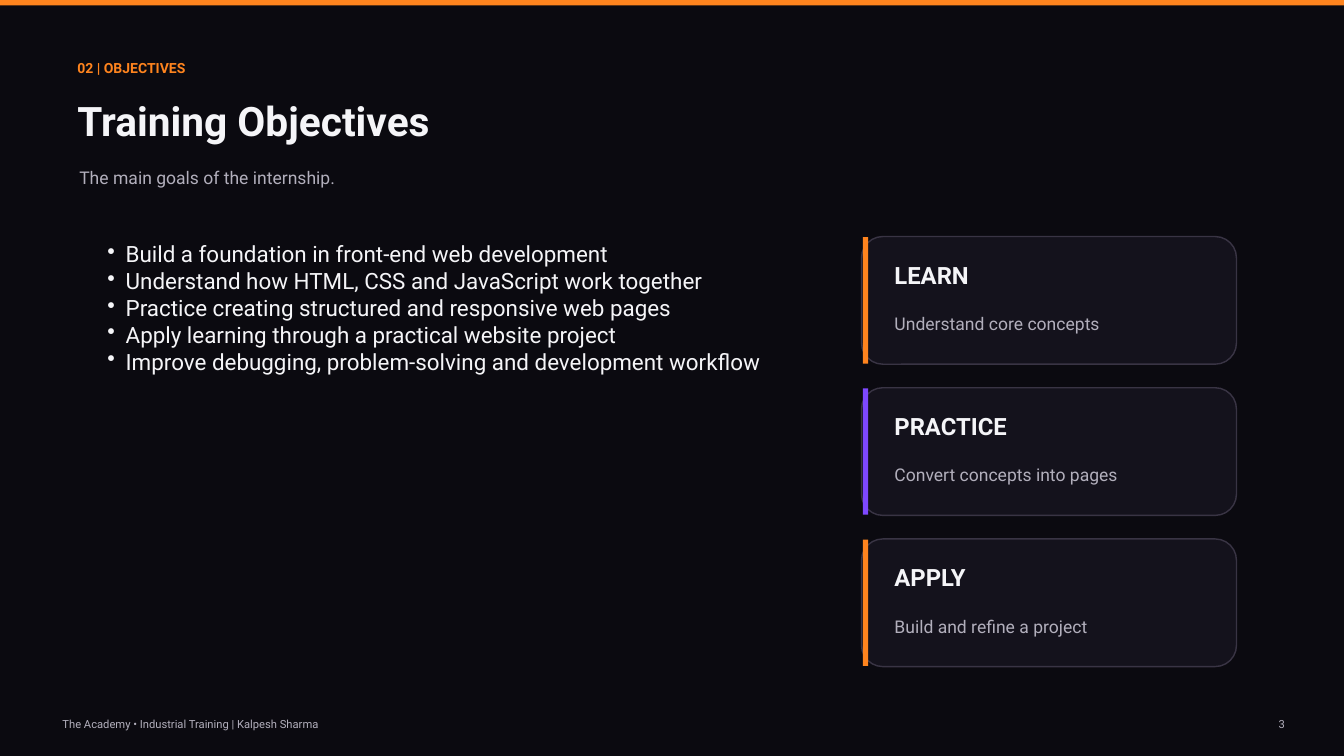
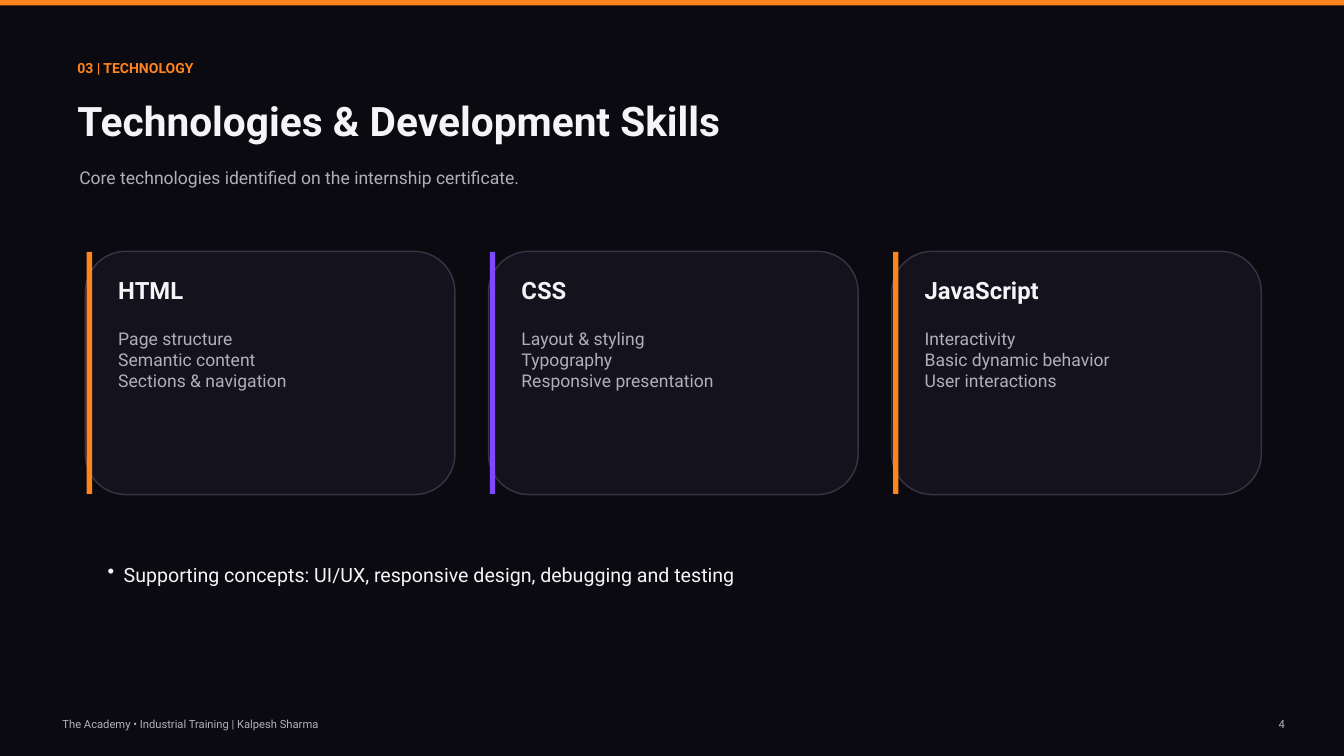
from dataclasses import dataclass

import pptx
import pptx.dml.color
import pptx.enum.shapes
import pptx.enum.text
import pptx.oxml.ns
import pptx.presentation
import pptx.shapes.autoshape
import pptx.slide
import pptx.text.text
import pptx.util
from lxml import etree
from pptx.dml.color import RGBColor
from pptx.enum.shapes import MSO_SHAPE
from pptx.enum.text import PP_ALIGN
from pptx.util import Inches

BACKGROUND = RGBColor(0x0B, 0x0A, 0x10)
CARD_FILL = RGBColor(0x14, 0x12, 0x1C)
CARD_BORDER = RGBColor(0x39, 0x34, 0x44)
ORANGE = RGBColor(0xFF, 0x84, 0x1E)
PURPLE = RGBColor(0x7E, 0x48, 0xFF)
LIGHT = RGBColor(0xF5, 0xF5, 0xF8)
MUTED = RGBColor(0xB2, 0xAF, 0xBC)
CARD_ACCENTS = (ORANGE, PURPLE, ORANGE)

FONT = "Roboto"
BODY_SIZE = 18.8
LINE_SPACING = 1.2
SLIDE_WIDTH = 20
SLIDE_HEIGHT = 11.25
BAR_THICKNESS = 0.08
FOOTER = "The Academy • Industrial Training | Kalpesh Sharma"


@dataclass(frozen=True)
class Box:
    """A rectangle measured in inches."""

    left: float
    top: float
    width: float
    height: float


@dataclass(frozen=True)
class Card:
    title: str
    lines: tuple[str, ...]


@dataclass(frozen=True)
class CardGroup:
    """Equal cards: the first one's box and the step to the next."""

    first: Box
    step_x: float
    step_y: float
    cards: tuple[Card, ...]


@dataclass(frozen=True)
class BulletList:
    box: Box
    size: float
    indent: float
    lines: tuple[str, ...]


@dataclass(frozen=True)
class Topic:
    section: str
    title: str
    subtitle: str
    page: int
    card_group: CardGroup
    bullet_list: BulletList


TOPICS = (
    Topic(
        "02 | OBJECTIVES",
        "Training Objectives",
        "The main goals of the internship.",
        3,
        CardGroup(
            Box(12.82, 3.52, 5.58, 1.9), 0, 2.25,
            (
                Card("LEARN", ("Understand core concepts",)),
                Card("PRACTICE", ("Convert concepts into pages",)),
                Card("APPLY", ("Build and refine a project",)),
            ),
        ),
        BulletList(
            Box(1.6, 3.58, 10.46, 5.75), 24, 0.27,
            (
                "Build a foundation in front-end web development",
                "Understand how HTML, CSS and JavaScript work together",
                "Practice creating structured and responsive web pages",
                "Apply learning through a practical website project",
                "Improve debugging, problem-solving and development workflow",
            ),
        ),
    ),
    Topic(
        "03 | TECHNOLOGY",
        "Technologies & Development Skills",
        "Core technologies identified on the internship certificate.",
        4,
        CardGroup(
            Box(1.27, 3.74, 5.5, 3.62), 6, 0,
            (
                Card("HTML", ("Page structure", "Semantic content", "Sections & navigation")),
                Card("CSS", ("Layout & styling", "Typography", "Responsive presentation")),
                Card("JavaScript", ("Interactivity", "Basic dynamic behavior", "User interactions")),
            ),
        ),
        BulletList(
            Box(1.6, 8.37, 16.31, 0.81), 21, 0.24,
            ("Supporting concepts: UI/UX, responsive design, debugging and testing",),
        ),
    ),
)


def add_bullet(paragraph: pptx.text.text._Paragraph, indent: float) -> None:
    properties = paragraph._p.get_or_add_pPr()
    properties.set("marL", str(Inches(indent)))
    properties.set("indent", str(-Inches(indent)))
    bullet = etree.SubElement(properties, pptx.oxml.ns.qn("a:buChar"))
    bullet.set("char", "•")


def add_text(
    slide: pptx.slide.Slide,
    box: Box,
    *lines: str,
    size: float = BODY_SIZE,
    color: RGBColor = MUTED,
    bold: bool = False,
    align: PP_ALIGN = PP_ALIGN.LEFT,
    bullet_indent: float = 0,
) -> None:
    """Write one paragraph per line, bulleted when an indent is given."""
    shape = slide.shapes.add_textbox(
        Inches(box.left), Inches(box.top), Inches(box.width), Inches(box.height)
    )
    frame = shape.text_frame
    frame.word_wrap = True
    frame.margin_left = frame.margin_right = frame.margin_top = frame.margin_bottom = 0
    frame.text = "\n".join(lines)
    for paragraph in frame.paragraphs:
        if bullet_indent:
            add_bullet(paragraph, bullet_indent)
        paragraph.alignment = align
        paragraph.line_spacing = pptx.util.Pt(round(size * LINE_SPACING, 1))
        for run in paragraph.runs:
            run.font.name = FONT
            run.font.size = pptx.util.Pt(size)
            run.font.bold = bold
            run.font.color.rgb = color


def add_filled_shape(
    slide: pptx.slide.Slide, kind: MSO_SHAPE, box: Box, fill: RGBColor
) -> pptx.shapes.autoshape.Shape:
    shape = slide.shapes.add_shape(
        kind, Inches(box.left), Inches(box.top), Inches(box.width), Inches(box.height)
    )
    shape.shadow.inherit = False
    shape.fill.solid()
    shape.fill.fore_color.rgb = fill
    shape.line.fill.background()
    return shape


def draw_card(slide: pptx.slide.Slide, card: Card, box: Box, accent: RGBColor) -> None:
    panel = add_filled_shape(slide, MSO_SHAPE.ROUNDED_RECTANGLE, box, CARD_FILL)
    panel.line.color.rgb = CARD_BORDER
    panel.line.width = pptx.util.Pt(1.5)
    accent_box = Box(box.left + 0.02, box.top + 0.01, BAR_THICKNESS, box.height - 0.02)
    add_filled_shape(slide, MSO_SHAPE.RECTANGLE, accent_box, accent)

    text_left, text_width = box.left + 0.49, box.width - 0.9
    title_box = Box(text_left, box.top + 0.36, text_width, 0.5)
    body_box = Box(text_left, box.top + 1.14, text_width, box.height - 1.47)
    add_text(slide, title_box, card.title, size=25.5, color=LIGHT, bold=True)
    add_text(slide, body_box, *card.lines)


def draw_card_group(slide: pptx.slide.Slide, group: CardGroup) -> None:
    first = group.first
    for index, (card, accent) in enumerate(zip(group.cards, CARD_ACCENTS)):
        box = Box(
            first.left + index * group.step_x,
            first.top + index * group.step_y,
            first.width,
            first.height,
        )
        draw_card(slide, card, box, accent)


def draw_header(slide: pptx.slide.Slide, topic: Topic) -> None:
    top_band = Box(0, 0, SLIDE_WIDTH, BAR_THICKNESS)
    add_filled_shape(slide, MSO_SHAPE.RECTANGLE, top_band, ORANGE)
    add_text(slide, Box(1.15, 0.88, 17.51, 0.43), topic.section, size=15, color=ORANGE, bold=True)
    add_text(slide, Box(1.15, 1.43, 17.51, 0.98), topic.title, size=43.5, color=LIGHT, bold=True)
    add_text(slide, Box(1.18, 2.48, 17.21, 0.65), topic.subtitle)


def draw_footer(slide: pptx.slide.Slide, page: int) -> None:
    add_text(slide, Box(0.93, 10.68, 17.06, 0.23), FOOTER, size=12)
    add_text(slide, Box(18.64, 10.68, 0.48, 0.23), str(page), size=12, align=PP_ALIGN.RIGHT)


def draw_topic(presentation: pptx.presentation.Presentation, topic: Topic) -> None:
    slide = presentation.slides.add_slide(presentation.slide_layouts[6])
    slide.background.fill.solid()
    slide.background.fill.fore_color.rgb = BACKGROUND
    draw_header(slide, topic)
    draw_card_group(slide, topic.card_group)
    bullets = topic.bullet_list
    add_text(
        slide, bullets.box, *bullets.lines,
        size=bullets.size, color=LIGHT, bullet_indent=bullets.indent,
    )
    draw_footer(slide, topic.page)


def main() -> None:
    presentation = pptx.Presentation()
    presentation.slide_width = Inches(SLIDE_WIDTH)
    presentation.slide_height = Inches(SLIDE_HEIGHT)
    for topic in TOPICS:
        draw_topic(presentation, topic)
    presentation.save("out.pptx")


if __name__ == "__main__":
    main()
